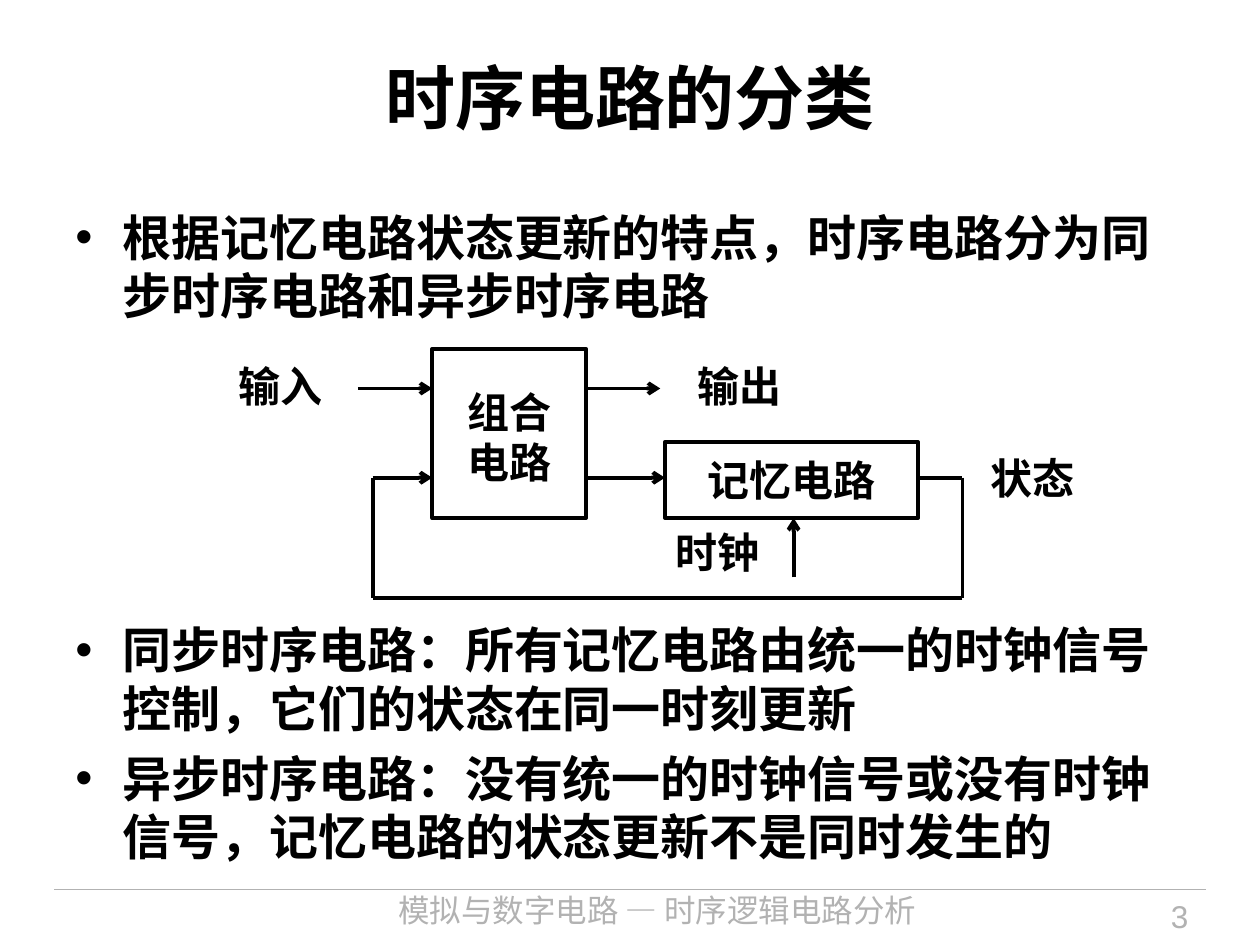
from lxml import etree
from pptx import Presentation
from pptx.dml.color import RGBColor
from pptx.enum.shapes import MSO_CONNECTOR as CONN, MSO_SHAPE as SHAPE
from pptx.enum.text import MSO_ANCHOR as ANCHOR, PP_ALIGN as ALIGN
from pptx.oxml.ns import qn
from pptx.util import Pt

BLACK = RGBColor(0x00, 0x00, 0x00)
GRAY = RGBColor(0xB2, 0xB2, 0xB2)
SERIF, SANS, HAN = "Times New Roman", "Arial", "Noto Sans CJK SC"

HEADING = "时序电路的分类"
POINTS = [
    "根据记忆电路状态更新的特点，时序电路分为同步时序电路和异步时序电路",
    "同步时序电路：所有记忆电路由统一的时钟信号控制，它们的状态在同一时刻更新",
    "异步时序电路：没有统一的时钟信号或没有时钟信号，记忆电路的状态更新不是同时发生的",
]
DIAGRAM_GAP = 162.5
COURSE = "模拟与数字电路 — 时序逻辑电路分析"
PAGE = "3"

COMBINATION = (247, 199.5, 88, 96.5)
MEMORY = (380, 252.5, 144.5, 43.5)
LABELS = [
    ("输入", 113.8, 206, 93),
    ("输出", 377.3, 206, 91),
    ("时钟", 371.5, 301, 76.5),
    ("状态", 544.3, 258.5, 91),
]
LABEL_HEIGHT = 29

SIGNAL_Y, STATE_Y, LOOP_Y = 222, 273, 341.5
LOOP_LEFT, LOOP_RIGHT = 213, 550
COMB_LEFT, COMB_RIGHT = COMBINATION[0], COMBINATION[0] + COMBINATION[2]
MEM_LEFT, MEM_RIGHT = MEMORY[0], MEMORY[0] + MEMORY[2]
MEM_BOTTOM = MEMORY[1] + MEMORY[3]
CLOCK_X = 453.5
ARROWS = [
    (204.5, SIGNAL_Y, COMB_LEFT, SIGNAL_Y),
    (COMB_RIGHT, SIGNAL_Y, 377.3, SIGNAL_Y),
    (COMB_RIGHT, STATE_Y, MEM_LEFT, STATE_Y),
    (LOOP_LEFT, STATE_Y, COMB_LEFT, STATE_Y),
    (CLOCK_X, 330, CLOCK_X, MEM_BOTTOM),
]
FEEDBACK = [
    (MEM_RIGHT, STATE_Y, LOOP_RIGHT, STATE_Y),
    (LOOP_RIGHT, STATE_Y, LOOP_RIGHT, LOOP_Y),
    (LOOP_RIGHT, LOOP_Y, LOOP_LEFT, LOOP_Y),
    (LOOP_LEFT, LOOP_Y, LOOP_LEFT, STATE_Y),
]


def write(frame, text, size, font, color=BLACK, bold=True, align=ALIGN.CENTER,
          anchor=ANCHOR.MIDDLE, margins=(0, 0, 0, 0), wrap=True, pitch=None):
    frame.text = text
    frame.word_wrap = wrap
    frame.vertical_anchor = anchor
    (frame.margin_left, frame.margin_top,
     frame.margin_right, frame.margin_bottom) = map(Pt, margins)
    for paragraph in frame.paragraphs:
        paragraph.alignment = align
        if pitch:
            paragraph.line_spacing = Pt(pitch)
        for run in paragraph.runs:
            run.font.size, run.font.name, run.font.bold = Pt(size), font, bold
            run.font.color.rgb = color
            east_asian = etree.SubElement(run.font._element, qn("a:ea"))
            east_asian.set("typeface", HAN)


def add_text(slide, place, text, size, font, **style):
    frame = slide.shapes.add_textbox(*map(Pt, place)).text_frame
    write(frame, text, size, font, **style)
    return frame


def add_line(slide, ends, color=BLACK, width=2.25, arrow=False):
    line = slide.shapes.add_connector(CONN.STRAIGHT, *map(Pt, ends))
    line.line.color.rgb = color
    line.line.width = Pt(width)
    if arrow:
        etree.SubElement(line.line._get_or_add_ln(), qn("a:tailEnd"), type="arrow")
    etree.SubElement(line._element.spPr, qn("a:effectLst"))


def add_block(slide, place, text, **style):
    block = slide.shapes.add_shape(SHAPE.RECTANGLE, *map(Pt, place))
    block.shadow.inherit = False
    block.fill.background()
    block.line.color.rgb = BLACK
    block.line.width = Pt(2.25)
    write(block.text_frame, text, 24, SANS, wrap=False, **style)


def add_bullet(paragraph):
    properties = paragraph._p.get_or_add_pPr()
    properties.set("marL", str(Pt(27)))
    properties.set("indent", str(Pt(-27)))
    etree.SubElement(properties, qn("a:buFont"), typeface=SANS)
    etree.SubElement(properties, qn("a:buChar"), char="•")


def main():
    deck = Presentation()
    deck.slide_width, deck.slide_height = Pt(720), Pt(540)
    slide = deck.slides.add_slide(deck.slide_layouts[5])

    add_line(slide, (31, 508.3, 689, 508.3), GRAY, 0.75)
    footer = dict(color=GRAY, bold=False, anchor=ANCHOR.TOP)
    add_text(slide, (172.8, 508.3, 405.4, 31.7), COURSE, 18, HAN,
             margins=(7.2, 1, 7.2, 3.6), **footer)
    add_text(slide, (590.4, 508.3, 95.8, 31.7), PAGE, 18, SANS,
             align=ALIGN.RIGHT, margins=(7.2, 4.5, 7.2, 3.6), **footer)

    heading = slide.shapes.title
    heading.left, heading.top, heading.width, heading.height = map(Pt, (36, 10, 648, 90))
    write(heading.text_frame, HEADING, 40, SERIF)

    points = add_text(slide, (36, 111.6, 648, 391), "\n".join(POINTS), 28, SERIF,
                      align=ALIGN.LEFT, anchor=ANCHOR.TOP,
                      margins=(7.2, 7.2, 7.2, 3.6), pitch=33.2)
    for point in points.paragraphs:
        point.space_after = Pt(7)
        add_bullet(point)
    points.paragraphs[1].space_before = Pt(DIAGRAM_GAP)

    add_block(slide, COMBINATION, "组合\n电路", pitch=28.5, margins=(0, 3.5, 0, 0))
    add_block(slide, MEMORY, "记忆电路")
    for text, left, top, width in LABELS:
        add_text(slide, (left, top, width, LABEL_HEIGHT), text, 24, SERIF)
    for ends in ARROWS:
        add_line(slide, ends, arrow=True)
    for ends in FEEDBACK:
        add_line(slide, ends)

    deck.save("out.pptx")


if __name__ == "__main__":
    main()
